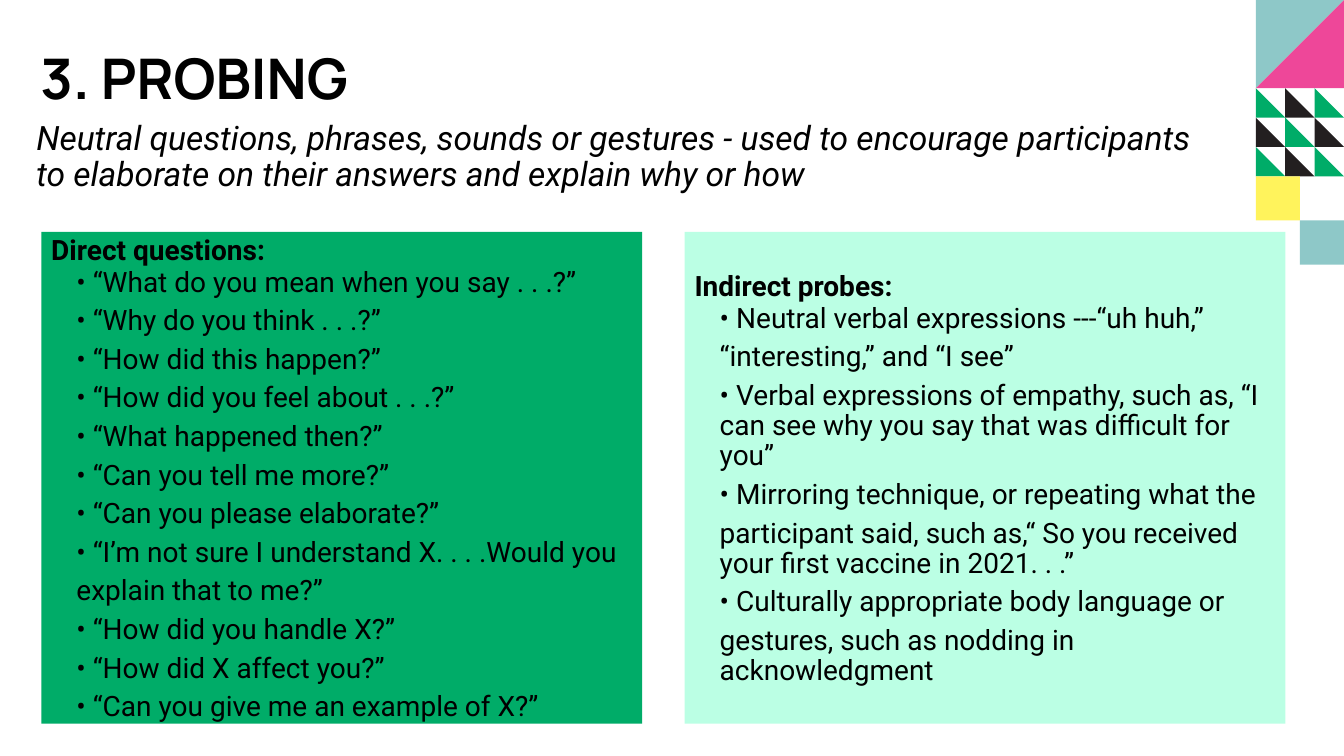
import pptx
import pptx.util
import pptx.dml.color
import pptx.enum.shapes
import pptx.enum.text
import lxml.etree

# Content
TITLE = "3. PROBING"
DEFINITION = ("Neutral questions, phrases, sounds or gestures - used to encourage "
              "participants to elaborate on their answers and explain why or how")
PANELS = [
    ("Direct questions:", "green", [
        "• “What do you mean when you say . . .?”",
        "• “Why do you think . . .?”",
        "• “How did this happen?”",
        "• “How did you feel about . . .?”",
        "• “What happened then?”",
        "• “Can you tell me more?”",
        "• “Can you please elaborate?”",
        "• “I’m not sure I understand X. . . .Would you",
        "explain that to me?”",
        "• “How did you handle X?”",
        "• “How did X affect you?”",
        "• “Can you give me an example of X?”",
    ]),
    ("Indirect probes:", "mint", [
        "• Neutral verbal expressions ---“uh huh,”",
        "“interesting,” and “I see”",
        "• Verbal expressions of empathy, such as, “I can see why you say "
        "that was difficult for you”",
        "• Mirroring technique, or repeating what the",
        "participant said, such as,“ So you received your first vaccine in 2021. . .”",
        "• Culturally appropriate body language or",
        "gestures, such as nodding in acknowledgment",
    ]),
]
COLORS = {"green": "00AC68", "mint": "BBFFE4", "black": "000000", "ink": "231F20",
          "yellow": "FFF35C", "teal": "8EC8C8", "pink": "EE4799"}

# Grid, in inches
SLIDE_W, SLIDE_H = 13.33, 7.5
PANEL_LEFT, PANEL_TOP, PANEL_W, PANEL_H, PANEL_GAP = 0.41, 2.3, 5.96, 4.88, 0.42
BAND = 0.875                     # width of the corner pattern
BAND_LEFT = SLIDE_W - BAND
CELL = BAND / 3                  # one small triangle
HALF = BAND / 2                  # one small square

inch = pptx.util.Inches
PP = pptx.enum.text.PP_ALIGN
ANCHOR = pptx.enum.text.MSO_ANCHOR


def rgb(name):
    return pptx.dml.color.RGBColor.from_string(COLORS[name])


def write(p, text, size=20, font="Roboto", bold=False, italic=False,
          line=1.0, before=0, after=0, indent=0):
    """Fill one left-aligned paragraph with formatted text."""
    p.alignment, p.line_spacing = PP.LEFT, line
    p.space_before, p.space_after = pptx.util.Pt(before), pptx.util.Pt(after)
    pPr = p._p.get_or_add_pPr()
    pPr.set("marL", str(inch(indent)))
    pPr.set("indent", "0")
    lxml.etree.SubElement(pPr, pptx.oxml.ns.qn("a:buNone"))
    r = p.add_run()
    r.text = text
    r.font.size, r.font.name = pptx.util.Pt(size), font
    r.font.bold, r.font.italic = bold, italic
    r.font.color.rgb = rgb("black")


def place(sp, left, top, width, height):
    sp.left, sp.top, sp.width, sp.height = map(inch, (left, top, width, height))


def paint(sp, color):
    sp.shadow.inherit = False
    sp.fill.solid()
    sp.fill.fore_color.rgb = rgb(color)
    sp.line.fill.background()


def add_rect(s, left, top, width, height, color):
    sp = s.shapes.add_shape(pptx.enum.shapes.MSO_SHAPE.RECTANGLE,
                            *map(inch, (left, top, width, height)))
    paint(sp, color)
    return sp


def add_triangle(s, points, color):
    corners = [(inch(x), inch(y)) for x, y in points]
    fb = s.shapes.build_freeform(*corners[0])
    fb.add_line_segments(corners[1:], close=True)
    paint(fb.convert_to_shape(), color)


def add_corner_pattern(s):
    # Two large triangles sharing a diagonal
    top_left, top_right = (BAND_LEFT, 0), (SLIDE_W, 0)
    low_left, low_right = (BAND_LEFT, BAND), (SLIDE_W, BAND)
    add_triangle(s, [top_left, low_left, top_right], "teal")
    add_triangle(s, [low_left, low_right, top_right], "pink")
    # Three by three small triangles in alternating colours
    for i in range(9):
        row, col = divmod(i, 3)
        x, y = BAND_LEFT + col * CELL, BAND + row * CELL
        add_triangle(s, [(x, y), (x, y + CELL), (x + CELL, y + CELL)],
                     ("green", "ink")[i % 2])
    # Two squares stepping down to the right
    for i, color in enumerate(("yellow", "teal")):
        add_rect(s, BAND_LEFT + i * HALF, 2 * BAND + i * HALF, HALF, HALF, color)


def add_panel(s, col, heading, color, items):
    sp = add_rect(s, PANEL_LEFT + col * (PANEL_W + PANEL_GAP), PANEL_TOP,
                  PANEL_W, PANEL_H, color)
    tf = sp.text_frame
    tf.word_wrap, tf.vertical_anchor = True, ANCHOR.MIDDLE
    tf.margin_top = tf.margin_bottom = 0
    write(tf.paragraphs[0], heading, bold=True)
    for item in items:
        write(tf.add_paragraph(), item, line=0.9, before=1, after=5, indent=0.25)


def main():
    prs = pptx.Presentation()
    prs.slide_width, prs.slide_height = inch(SLIDE_W), inch(SLIDE_H)
    s = prs.slides.add_slide(prs.slide_layouts[1])
    add_corner_pattern(s)

    # Title and definition
    title, body = s.shapes.title, s.placeholders[1]
    place(title, 0.3, 0.34, 3.75, 0.82)
    place(body, 0.26, 1.15, 11.98, 0.83)
    for sp, anchor in ((title, ANCHOR.BOTTOM), (body, ANCHOR.TOP)):
        sp.text_frame.word_wrap = True
        sp.text_frame.auto_size = pptx.enum.text.MSO_AUTO_SIZE.NONE
        sp.text_frame.vertical_anchor = anchor
    write(title.text_frame.paragraphs[0], TITLE, size=40, font="Manrope",
          bold=True, line=0.9)
    write(body.text_frame.paragraphs[0], DEFINITION, size=24, italic=True,
          line=0.9, before=1, after=5)

    # Two panels side by side
    for col, panel in enumerate(PANELS):
        add_panel(s, col, *panel)
    prs.save("out.pptx")


if __name__ == "__main__":
    main()
